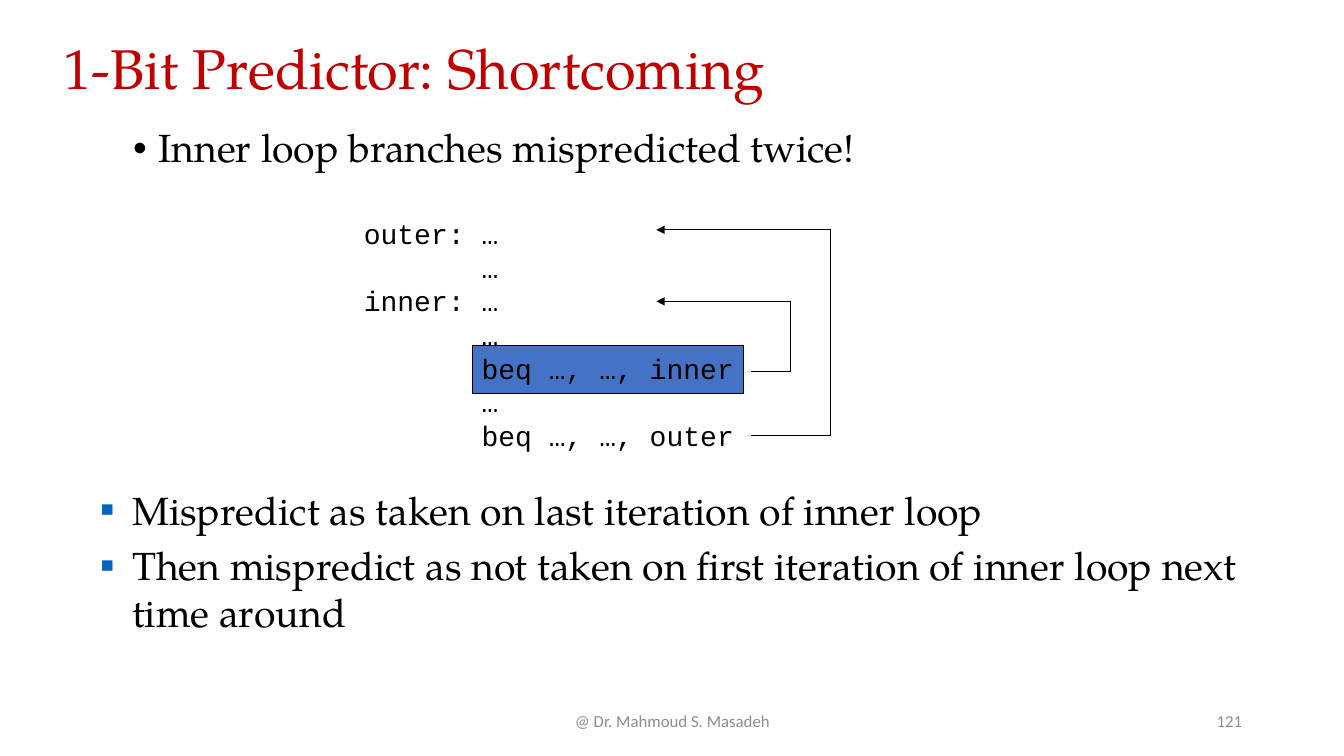
from itertools import pairwise

from lxml.etree import SubElement
from pptx import Presentation
from pptx.dml.color import RGBColor
from pptx.enum.shapes import MSO_CONNECTOR, MSO_SHAPE
from pptx.enum.text import MSO_ANCHOR as Anchor, MSO_AUTO_SIZE as AutoSize, PP_ALIGN as Align
from pptx.oxml.ns import qn
from pptx.util import Inches, Pt

BLACK = RGBColor(0x00, 0x00, 0x00)
RED = RGBColor(0xC0, 0x00, 0x00)
GRAY = RGBColor(0x8C, 0x8C, 0x8C)
BLUE = RGBColor(0x44, 0x72, 0xC4)
BULLET_BLUE = RGBColor(0x05, 0x63, 0xC1)

TITLE = {"name": "TeX Gyre Pagella", "size": Pt(40), "color": RED}
BODY = {"name": "TeX Gyre Pagella", "size": Pt(28), "color": BLACK}
CODE = {"name": "Courier New", "size": Pt(20), "color": BLACK}
FOOTER = {"name": "Calibri", "size": Pt(12), "color": GRAY}

CODE_LINES = [
    "outer: …",
    "       …",
    "inner: …",
    "       …",
    "       beq …, …, inner",
    "       …",
    "       beq …, …, outer",
]


class SlideBuilder:
    def __init__(self, slide):
        self.slide = slide
        self.shapes = slide.shapes
        self.line_width = Pt(0.75)

    def place(self, shape, left, top, width, height):
        box = {"left": left, "top": top, "width": width, "height": height}
        for name, value in box.items():
            setattr(shape, name, Inches(value))

    def fill_text(self, shape, lines, style, bullet=None, frame_format=None, paragraph_format=None):
        """Fill a shape with one paragraph per line."""
        frame = shape.text_frame
        settings = {"word_wrap": True, "auto_size": AutoSize.NONE, **(frame_format or {})}
        for name, value in settings.items():
            setattr(frame, name, value)
        for index, line in enumerate(lines):
            paragraph = frame.paragraphs[0] if index == 0 else frame.add_paragraph()
            paragraph.text = line
            if bullet:
                self.add_bullet(paragraph, **bullet)
            for name, value in (paragraph_format or {}).items():
                setattr(paragraph, name, value)
            if index == 0:
                paragraph.space_before = Pt(0)
            font = paragraph.runs[0].font
            for name, value in style.items():
                if name == "color":
                    font.color.rgb = value
                else:
                    setattr(font, name, value)

    def add_bullet(self, paragraph, character, margin, hanging, color=BLACK, percent=100):
        properties = paragraph._p.get_or_add_pPr()
        properties.set("marL", str(Inches(margin)))
        properties.set("indent", str(-Inches(hanging)))
        bullet_color = SubElement(properties, qn("a:buClr"))
        SubElement(bullet_color, qn("a:srgbClr"), val=str(color))
        SubElement(properties, qn("a:buSzPct"), val=str(percent * 1000))
        SubElement(properties, qn("a:buFont"), typeface="Arial")
        SubElement(properties, qn("a:buChar"), char=character)

    def title(self, text, box):
        shape = self.shapes.title
        self.place(shape, *box)
        self.fill_text(shape, [text], TITLE,
                       frame_format={"vertical_anchor": Anchor.MIDDLE},
                       paragraph_format={"alignment": Align.LEFT, "line_spacing": 0.9})

    def bullets(self, index, lines, box, bullet, paragraph_format):
        shape = self.slide.placeholders[index]
        self.place(shape, *box)
        self.fill_text(shape, lines, BODY, bullet, paragraph_format=paragraph_format)

    def text_box(self, lines, box, style, **formats):
        shape = self.shapes.add_textbox(*map(Inches, box))
        self.fill_text(shape, lines, style, **formats)

    def rectangle(self, box, color):
        shape = self.shapes.add_shape(MSO_SHAPE.RECTANGLE, *map(Inches, box))
        shape.shadow.inherit = False
        shape.fill.solid()
        shape.fill.fore_color.rgb = color
        shape.line.color.rgb = BLACK
        shape.line.width = self.line_width

    def branch(self, start_x, right_x, tip_x, branch_y, label_y):
        """Draw a jump from a branch line back to its label."""
        corners = [(start_x, branch_y), (right_x, branch_y), (right_x, label_y), (tip_x, label_y)]
        for start, end in pairwise(corners):
            connector = self.shapes.add_connector(
                MSO_CONNECTOR.STRAIGHT, *map(Inches, start + end))
            connector.line.color.rgb = BLACK
            connector.line.width = self.line_width
            SubElement(connector._element.spPr, qn("a:effectLst"))
        SubElement(connector.line._get_or_add_ln(), qn("a:tailEnd"), type="triangle")


def main():
    presentation = Presentation()
    presentation.slide_width = Inches(13.33)
    presentation.slide_height = Inches(7.5)
    two_content = presentation.slide_layouts[3]
    builder = SlideBuilder(presentation.slides.add_slide(two_content))

    builder.title("1-Bit Predictor: Shortcoming", (0.53, 0.4, 12.32, 0.62))
    builder.bullets(
        1, ["Inner loop branches mispredicted twice!"], (1.22, 1.23, 10.31, 0.79),
        {"character": "•", "margin": 0.25, "hanging": 0.25}, {"line_spacing": 0.9})
    builder.bullets(
        2,
        ["Mispredict as taken on last iteration of inner loop",
         "Then mispredict as not taken on first iteration of inner loop next time around"],
        (0.4, 4.77, 12.02, 2.05),
        {"character": "■", "margin": 0.81, "hanging": 0.31, "color": BULLET_BLUE, "percent": 55},
        {"space_before": Pt(6)})

    builder.rectangle((4.69, 3.43, 2.68, 0.47), BLUE)
    builder.text_box(CODE_LINES, (3.51, 2.1, 3.9, 2.46), CODE,
                     frame_format={"word_wrap": False, "auto_size": AutoSize.SHAPE_TO_FIT_TEXT})
    for right_x, branch_y, label_y in [(7.84, 3.69, 2.99), (8.24, 4.32, 2.28)]:
        builder.branch(7.45, right_x, 6.51, branch_y, label_y)

    for text, left, width, alignment in [
        ("@ Dr. Mahmoud S. Masadeh", 4.42, 4.5, Align.CENTER),
        ("121", 9.42, 3, Align.RIGHT),
    ]:
        builder.text_box([text], (left, 6.95, width, 0.4), FOOTER,
                         frame_format={"vertical_anchor": Anchor.MIDDLE},
                         paragraph_format={"alignment": alignment})

    presentation.save("out.pptx")


if __name__ == "__main__":
    main()
